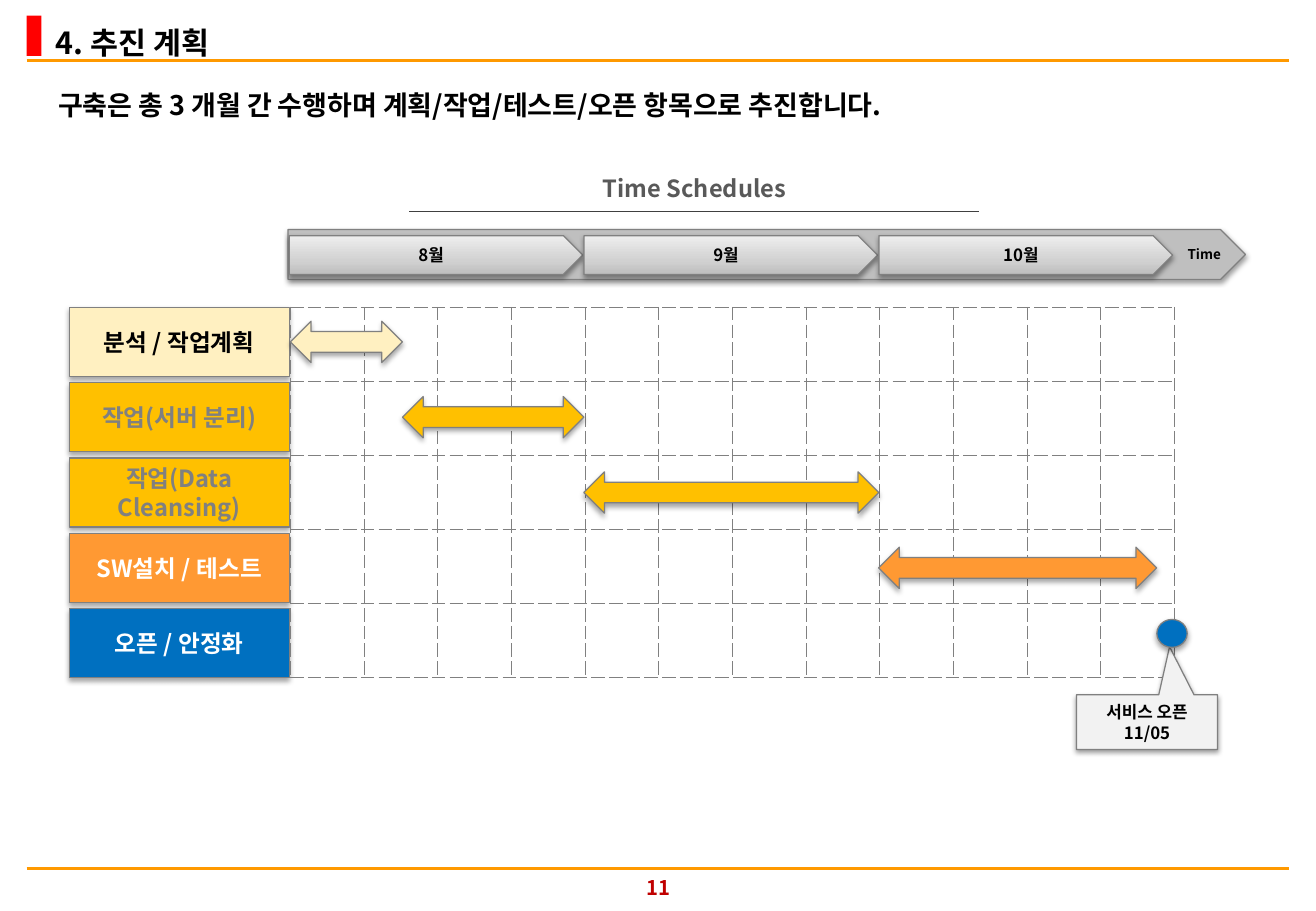
from lxml.etree import SubElement
from pptx import Presentation
from pptx.dml.color import RGBColor
from pptx.enum.shapes import MSO_CONNECTOR, MSO_SHAPE
from pptx.enum.text import MSO_ANCHOR, PP_ALIGN
from pptx.oxml import parse_xml
from pptx.oxml.ns import nsdecls, qn
from pptx.util import Inches, Pt

FONT = "Noto Sans CJK KR"
BLACK = RGBColor(0, 0, 0)
WHITE = RGBColor(255, 255, 255)
RED = RGBColor(255, 0, 0)
DARK_RED = RGBColor(0xC0, 0, 0)
RULE_ORANGE = RGBColor(0xFF, 0x99, 0)
CREAM = RGBColor(0xFF, 0xF0, 0xC1)
AMBER = RGBColor(0xFF, 0xC0, 0)
ORANGE = RGBColor(0xFF, 0x99, 0x33)
BLUE = RGBColor(0, 0x70, 0xC0)
GRAY = RGBColor(0x80, 0x80, 0x80)
SILVER = RGBColor(0xBF, 0xBF, 0xBF)
PALE = RGBColor(0xF2, 0xF2, 0xF2)
HEADING_GRAY = RGBColor(0x59, 0x59, 0x59)
RULE_GRAY = RGBColor(0x40, 0x40, 0x40)
MONTH_STOPS = [(0, "BDBDBD"), (35, "D1D1D1"), (100, "EEEEEE")]

TITLE = "4. 추진 계획"
SUMMARY = "구축은 총 3 개월 간 수행하며 계획/작업/테스트/오픈 항목으로 추진합니다."
HEADING = "Time Schedules"
MONTHS = ["8월", "9월", "10월"]
TASKS = [
    ("분석 / 작업계획", CREAM, BLACK, (0, 1.52)),
    ("작업(서버 분리)", AMBER, GRAY, (1.52, 3.98)),
    ("작업(Data Cleansing)", AMBER, GRAY, (3.98, 7.98)),
    ("SW설치 / 테스트", ORANGE, WHITE, (7.98, 11.75)),
    ("오픈 / 안정화", BLUE, WHITE, None),
]
MILESTONE = ["서비스 오픈", "11/05"]
PAGE = "11"

WIDTH, HEIGHT = 10.83, 7.5
MARGIN = 0.22
GRID_LEFT, GRID_TOP, GRID_WIDTH, GRID_HEIGHT = 2.39, 2.53, 7.28, 3.05
WEEKS = 4 * len(MONTHS)
WEEK = GRID_WIDTH / WEEKS
MONTH = 4 * WEEK
LABEL_LEFT, LABEL_WIDTH, LABEL_HEIGHT, LABEL_PITCH = 0.57, 1.81, 0.57, 0.62
BAR_HEIGHT = 0.34
HEADING_LEFT, HEADING_WIDTH = 3.37, 4.69

presentation = Presentation()
presentation.slide_width, presentation.slide_height = Inches(WIDTH), Inches(HEIGHT)
slide = presentation.slides.add_slide(presentation.slide_layouts[6])


def write(holder, lines, size, color, align=PP_ALIGN.CENTER, anchor=MSO_ANCHOR.MIDDLE):
    """Fill a shape or text box with bold text and return its frame."""
    frame = holder.text_frame
    frame.word_wrap = True
    frame.vertical_anchor = anchor
    frame.text = "\n".join(lines)
    for paragraph in frame.paragraphs:
        paragraph.alignment = align
        for run in paragraph.runs:
            run.font.size, run.font.bold, run.font.name = Pt(size), True, FONT
            run.font.color.rgb = color
            SubElement(run._r.get_or_add_rPr(), qn("a:ea"), typeface=FONT)
    return frame


def add_text(box, lines, size, color, **layout):
    """Add a text box and return its frame."""
    holder = slide.shapes.add_textbox(*map(Inches, box))
    return write(holder, lines, size, color, **layout)


def add_rule(left, right, y, color, weight):
    """Add a horizontal line."""
    rule = slide.shapes.add_connector(
        MSO_CONNECTOR.STRAIGHT, *map(Inches, (left, y, right, y)))
    rule.line.color.rgb, rule.line.width = color, Pt(weight)
    SubElement(rule._element.spPr, qn("a:effectLst"))


def add_block(kind, box, fill, shadow=(35, 1.8)):
    """Add an outlined shape with a soft shadow below it."""
    block = slide.shapes.add_shape(kind, *map(Inches, box))
    block.fill.solid()
    block.fill.fore_color.rgb = fill
    block.line.color.rgb, block.line.width = GRAY, Pt(0.75)
    block.shadow.inherit = False
    alpha, distance = shadow
    effects = block._element.spPr.find(qn("a:effectLst"))
    effects.append(parse_xml(
        f'<a:outerShdw {nsdecls("a")} blurRad="{Pt(3.1)}" dist="{Pt(distance)}" '
        f'dir="5400000" rotWithShape="0"><a:srgbClr val="000000">'
        f'<a:alpha val="{alpha * 1000}"/></a:srgbClr></a:outerShdw>'))
    return block


def shade(block, stops):
    """Give a shape an upward gradient."""
    block.fill.gradient()
    block.fill.gradient_angle = 90
    stop_list = block._element.spPr.find(qn("a:gradFill")).find(qn("a:gsLst"))
    for stop in list(stop_list):
        stop_list.remove(stop)
    for position, color in stops:
        stop = SubElement(stop_list, qn("a:gs"), pos=str(position * 1000))
        SubElement(stop, qn("a:srgbClr"), val=color)


def add_grid():
    """Add the dashed week grid."""
    grid = slide.shapes.add_table(
        len(TASKS), WEEKS, *map(Inches, (GRID_LEFT, GRID_TOP, GRID_WIDTH, GRID_HEIGHT))).table
    grid.first_row = grid.horz_banding = False
    for cell in grid.iter_cells():
        properties = cell._tc.get_or_add_tcPr()
        for side in ("lnL", "lnR", "lnT", "lnB"):
            properties.append(parse_xml(
                f'<a:{side} {nsdecls("a")} w="{Pt(0.5)}"><a:solidFill>'
                f'<a:srgbClr val="{GRAY}"/></a:solidFill>'
                f'<a:prstDash val="sysDash"/></a:{side}>'))
        cell.fill.background()


def add_frame():
    """Add the title, summary, page number and rules."""
    for y in (0.5, 7.15):
        add_rule(MARGIN, WIDTH - MARGIN, y, RULE_ORANGE, 1.5)
    marker = slide.shapes.add_shape(
        MSO_SHAPE.RECTANGLE, *map(Inches, (MARGIN, 0.13, 0.12, 0.33)))
    marker.fill.solid()
    marker.fill.fore_color.rgb = RED
    marker.line.fill.background()
    marker.shadow.inherit = False
    add_text((WIDTH / 2 - 0.41, 7.16, 0.83, 0.3), [PAGE], 12, DARK_RED, anchor=MSO_ANCHOR.TOP)
    top_left = {"align": PP_ALIGN.LEFT, "anchor": MSO_ANCHOR.TOP}
    title = add_text((0.34, 0.08, 5.63, 0.48), [TITLE], 18, BLACK, **top_left)
    title.margin_left = title.margin_right = Inches(0.12)
    title.margin_top = title.margin_bottom = Inches(0.06)
    title.paragraphs[0].line_spacing = 1.2
    summary = add_text((0.38, 0.64, 10.16, 0.71), [SUMMARY], 16, BLACK, **top_left)
    summary.paragraphs[0].line_spacing = Pt(22)


def add_schedule():
    """Add the month band, task labels, grid, bars and milestone."""
    add_rule(HEADING_LEFT, HEADING_LEFT + HEADING_WIDTH, 1.74, RULE_GRAY, 0.25)
    add_text((HEADING_LEFT, 1.38, HEADING_WIDTH, 0.33), [HEADING], 14, HEADING_GRAY)
    band_shadow = (38, 1.6)
    band = add_block(MSO_SHAPE.PENTAGON, (2.37, 1.89, 7.88, 0.41), SILVER, band_shadow)
    write(band, ["Time"], 8, BLACK, align=PP_ALIGN.RIGHT)
    for index, name in enumerate(MONTHS):
        month = add_block(MSO_SHAPE.PENTAGON,
                          (2.38 + index * MONTH, 1.94, MONTH - 0.01, 0.32), SILVER, band_shadow)
        shade(month, MONTH_STOPS)
        write(month, [name], 10, BLACK)

    tops = [GRID_TOP + index * LABEL_PITCH for index in range(len(TASKS))]
    for top, (name, fill, color, _) in zip(tops, TASKS):
        label = add_block(MSO_SHAPE.RECTANGLE, (LABEL_LEFT, top, LABEL_WIDTH, LABEL_HEIGHT), fill)
        write(label, [name], 14, color)
    add_grid()
    for top, (_, fill, _, span) in zip(tops, TASKS):
        if span:
            start, end = span
            add_block(MSO_SHAPE.LEFT_RIGHT_ARROW,
                      (GRID_LEFT + start * WEEK, top + (LABEL_HEIGHT - BAR_HEIGHT) / 2,
                       (end - start) * WEEK, BAR_HEIGHT), fill)

    callout = add_block(
        MSO_SHAPE.RECTANGULAR_CALLOUT, (8.86, 5.72, 1.16, 0.45), PALE, band_shadow)
    callout.adjustments[0], callout.adjustments[1] = 0.16, -1.38
    write(callout, MILESTONE, 10, BLACK)
    add_block(MSO_SHAPE.OVAL, (9.52, 5.1, 0.25, 0.23), BLUE)


if __name__ == "__main__":
    add_frame()
    add_schedule()
    presentation.save("out.pptx")
